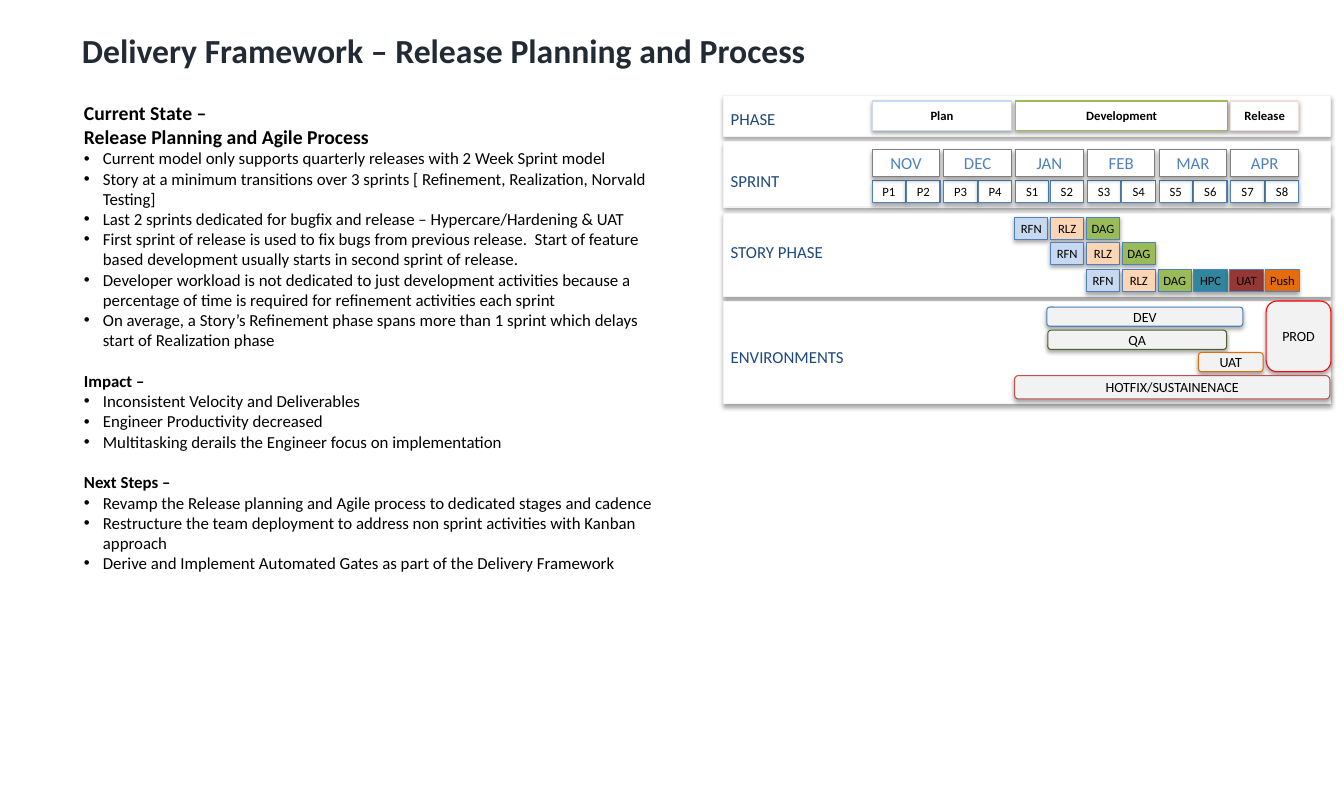
from lxml import etree
from pptx import Presentation
from pptx import util as u
from pptx.dml import color as c
from pptx.enum import shapes, text
from pptx.oxml import ns

FONT = "Calibri"
BLACK, WHITE, PALE, BLUE, NAVY = "000000", "FFFFFF", "F2F2F2", "4F81BD", "1F497D"
GRID_LEFT, MONTH_PITCH, SPRINT_PITCH = 621.4, 51.12, 25.56
MONTH_WIDTH, SPRINT_WIDTH, SPRINT_HEIGHT = 48.2, 23.8, 15.8

SECTIONS = [
    (["Current State –", "Release Planning and Agile Process"], 14, [
        "Current model only supports quarterly releases with 2 Week Sprint model",
        "Story at a minimum transitions over 3 sprints [ Refinement, Realization, Norvald Testing]",
        "Last 2 sprints dedicated for bugfix and release – Hypercare/Hardening & UAT",
        "First sprint of release is used to fix bugs from previous release.  Start of feature "
        "based development usually starts in second sprint of release.",
        "Developer workload is not dedicated to just development activities because a "
        "percentage of time is required for refinement activities each sprint",
        "On average, a Story’s Refinement phase spans more than 1 sprint which delays "
        "start of Realization phase",
    ]),
    (["Impact –"], 12, [
        "Inconsistent Velocity and Deliverables",
        "Engineer Productivity decreased",
        "Multitasking derails the Engineer focus on implementation",
    ]),
    (["Next Steps –"], 12, [
        "Revamp the Release planning and Agile process to dedicated stages and cadence",
        "Restructure the team deployment to address non sprint activities with Kanban approach",
        "Derive and Implement Automated Gates as part of the Delivery Framework",
    ]),
]
LANES = [
    ("PHASE", 68.4, 28.8, 74.9),
    ("SPRINT", 100.8, 46.8, 118.8),
    ("STORY PHASE", 151.9, 59.8, 169.2),
    ("ENVIRONMENTS", 214.6, 73.4, 244.1),
]
PHASES = [
    ("Plan", 621.4, 99.4, "C6D9F1"),
    ("Development", 723.6, 151.2, "9BBB59"),
    ("Release", 877, 48.2, "F2DCDB"),
]
MONTHS = [
    ("NOV", "P1", "P2"), ("DEC", "P3", "P4"), ("JAN", "S1", "S2"),
    ("FEB", "S3", "S4"), ("MAR", "S5", "S6"), ("APR", "S7", "S8"),
]
STAGES = [
    ("RFN", "C6D9F1"), ("RLZ", "FCD5B5"), ("DAG", "9BBB59"),
    ("HPC", "31859C"), ("UAT", "953735"), ("Push", "E46C0A"),
]
STORIES = [(154.8, 3), (172.8, 3), (192.2, 6)]
ENVIRONMENTS = [
    ("DEV", (745.9, 218.9, 139.7, 13.7), BLUE),
    ("QA", (746.6, 235.4, 127.4, 13.7), "4F6228"),
    ("UAT", (853.9, 251.3, 46.1, 13.7), "E46C0A"),
    ("PROD", (902.2, 214.6, 46.1, 50.4), "FF0000"),
    ("HOTFIX/SUSTAINENACE", (722.9, 267.8, 224.6, 16.6), "C0504D"),
]


def rgb(value):
    """Turn a hex string into a colour."""
    return c.RGBColor.from_string(value)


def apply(target, **values):
    """Set each named attribute on the target."""
    for name, value in values.items():
        setattr(target, name, value)


def place(shape, left, top, width, height):
    """Move and size a shape, in points."""
    apply(shape, left=u.Pt(left), top=u.Pt(top), width=u.Pt(width), height=u.Pt(height))


def frame_format(shape, horizontal, vertical, anchor):
    """Set wrapping, insets and anchor of a shape's text."""
    apply(shape.text_frame, word_wrap=True, auto_size=text.MSO_AUTO_SIZE.NONE,
          vertical_anchor=anchor, margin_left=u.Pt(horizontal), margin_right=u.Pt(horizontal),
          margin_top=u.Pt(vertical), margin_bottom=u.Pt(vertical))


def write(paragraph, words, size, colour=BLACK, bold=False, align=text.PP_ALIGN.LEFT):
    """Put one formatted run into a paragraph."""
    apply(paragraph, alignment=align, space_before=u.Pt(0))
    run = paragraph.add_run()
    run.text = words
    apply(run.font, name=FONT, size=u.Pt(size), bold=bold)
    run.font.color.rgb = rgb(colour)


def set_bullet(paragraph, bulleted):
    """Give a paragraph a hanging bullet, or none."""
    properties = paragraph._p.get_or_add_pPr()
    indent = u.Pt(13.5) if bulleted else 0
    properties.set("marL", str(indent))
    properties.set("indent", str(-indent))
    if bulleted:
        etree.SubElement(properties, ns.qn("a:buFont"), typeface="Arial")
        etree.SubElement(properties, ns.qn("a:buChar"), char="•")
    else:
        etree.SubElement(properties, ns.qn("a:buNone"))


def add_shadow(shape):
    """Give a shape a soft shadow straight below it."""
    shape.shadow.inherit = False
    effects = shape.element.spPr.find(ns.qn("a:effectLst"))
    shadow = etree.SubElement(effects, ns.qn("a:outerShdw"), blurRad=str(u.Pt(3.1)),
                              dist=str(u.Pt(1.8)), dir="5400000", rotWithShape="0")
    colour = etree.SubElement(shadow, ns.qn("a:srgbClr"), val=BLACK)
    etree.SubElement(colour, ns.qn("a:alpha"), val="35000")


def add_box(slide, box, fill, line, words="", size=9, colour=BLACK, bold=False, rounded=False):
    """Add a shadowed box with centred text."""
    kind = shapes.MSO_SHAPE.ROUNDED_RECTANGLE if rounded else shapes.MSO_SHAPE.RECTANGLE
    shape = slide.shapes.add_shape(kind, *map(u.Pt, box))
    shape.fill.solid()
    shape.fill.fore_color.rgb = rgb(fill)
    shape.line.color.rgb = rgb(line)
    shape.line.width = u.Pt(0.75)
    add_shadow(shape)
    if words:
        frame_format(shape, 0, 0, text.MSO_ANCHOR.MIDDLE)
        write(shape.text_frame.paragraphs[0], words, size, colour, bold, text.PP_ALIGN.CENTER)


def add_lane(slide, name, top, height, label_top):
    """Add a lane's panel and its label."""
    add_box(slide, (515.5, top, 432.7, height), WHITE, PALE)
    label = slide.shapes.add_textbox(*map(u.Pt, (514.8, label_top, 103.7, 20)))
    frame_format(label, 5.8, 2.9, text.MSO_ANCHOR.TOP)
    write(label.text_frame.paragraphs[0], name, 12, NAVY)


def fill_title(title):
    """Place and write the slide title."""
    place(title, 49.7, 15.8, 861, 40.3)
    frame_format(title, 8.64, 4.32, text.MSO_ANCHOR.MIDDLE)
    write(title.text_frame.paragraphs[0], "Delivery Framework – Release Planning and Process",
          24, "222A35", True)


def fill_body(body):
    """Place the body and write its headed lists."""
    place(body, 52.6, 68.4, 433.4, 390.2)
    frame_format(body, 7.2, 3.6, text.MSO_ANCHOR.TOP)
    paragraph = body.text_frame.paragraphs[0]
    for number, (headings, size, items) in enumerate(SECTIONS):
        for index, words in enumerate(headings + items):
            if number or index:
                paragraph = body.text_frame.add_paragraph()
            bulleted = index >= len(headings)
            write(paragraph, words, 12 if bulleted else size, bold=not bulleted)
            if number and index == 0:
                paragraph.space_before = u.Pt(14.65)
            set_bullet(paragraph, bulleted)


def add_calendar(slide):
    """Add the months, each above its two sprints."""
    for column, (month, *sprints) in enumerate(MONTHS):
        left = GRID_LEFT + column * MONTH_PITCH
        for index, sprint in enumerate(sprints):
            add_box(slide, (left + index * 24.6, 128.9, SPRINT_WIDTH, SPRINT_HEIGHT),
                    WHITE, BLUE, sprint)
        add_box(slide, (left, 106.6, MONTH_WIDTH, 19.4), WHITE, "808080", month, 12, BLUE)


def add_stories(slide):
    """Add the stories, each starting one sprint later."""
    for row, (top, count) in enumerate(STORIES):
        for index, (stage, fill) in enumerate(STAGES[:count]):
            left = 722.9 + (row + index) * SPRINT_PITCH
            add_box(slide, (left, top, SPRINT_WIDTH, SPRINT_HEIGHT), fill, BLUE, stage)


def main():
    """Build and save the slide."""
    presentation = Presentation()
    apply(presentation, slide_width=u.Pt(957.6), slide_height=u.Pt(576))
    slide = presentation.slides.add_slide(presentation.slide_layouts[1])
    fill_title(slide.shapes.title)
    fill_body(slide.placeholders[1])
    for lane in LANES:
        add_lane(slide, *lane)
    for name, left, width, line in PHASES:
        add_box(slide, (left, 72, width, 20.9), WHITE, line, name, bold=True)
    add_calendar(slide)
    add_stories(slide)
    for name, box, line in ENVIRONMENTS:
        add_box(slide, box, PALE, line, name, 10, rounded=True)
    presentation.save("out.pptx")


if __name__ == "__main__":
    main()
